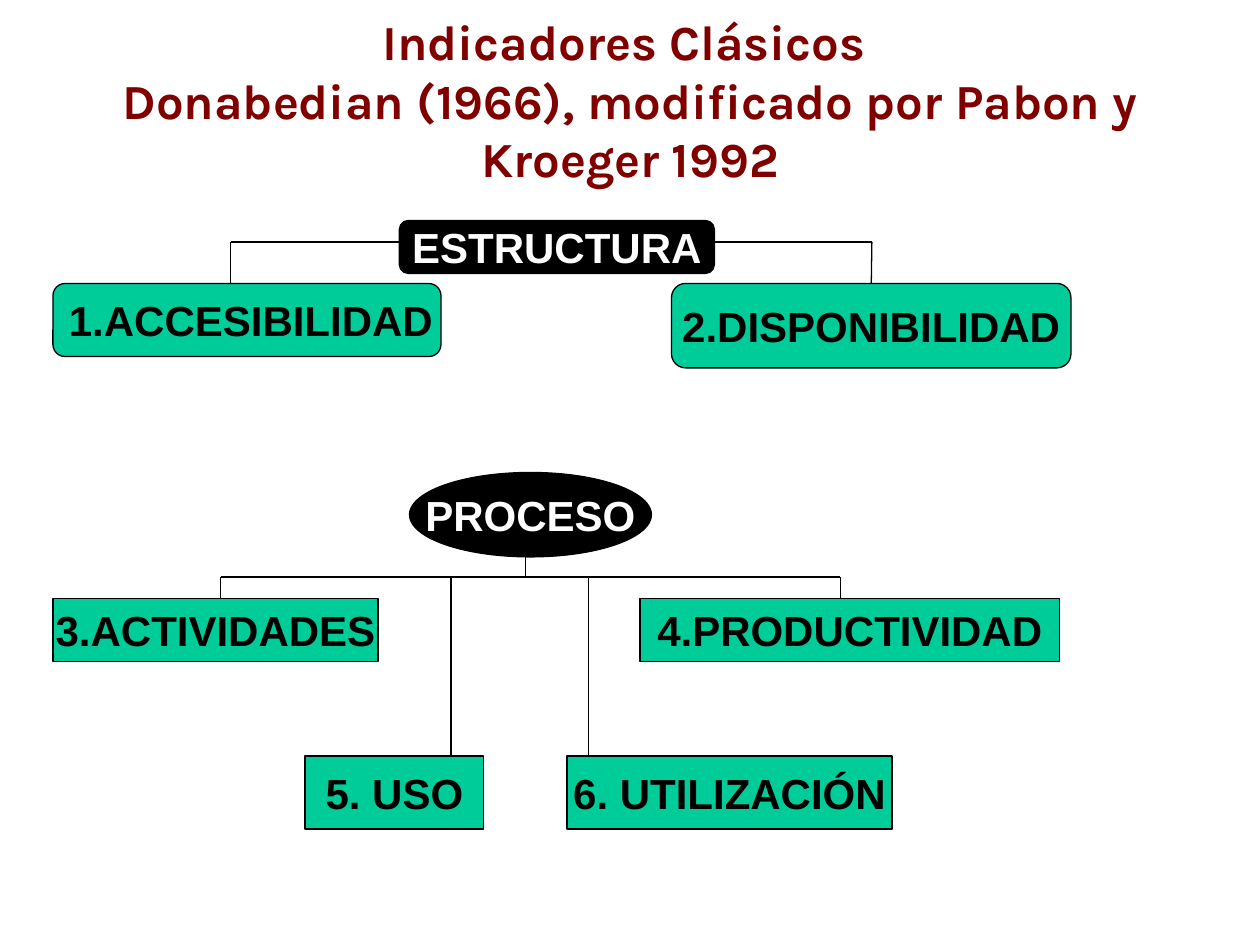
from lxml import etree
from pptx import Presentation
from pptx import util as u
from pptx.dml.color import RGBColor
from pptx.enum import shapes, text
from pptx.oxml.ns import qn

COLORS = {"title": "800000", "black": "000000", "white": "FFFFFF", "green": "00CC99"}
SHAPE = shapes.MSO_SHAPE
TOP_SIDE = 0


def rgb(name):
    return RGBColor.from_string(COLORS[name])


def format_text(frame, font_name, size, color, align):
    frame.vertical_anchor = text.MSO_ANCHOR.MIDDLE
    for paragraph in frame.paragraphs:
        paragraph.alignment = align
        for run in paragraph.runs:
            run.font.name = font_name
            run.font.size = u.Pt(size)
            run.font.bold = True
            run.font.color.rgb = rgb(color)


def add_label(slide, origin, kind, box, wording, fill="green", color="black",
              align=text.PP_ALIGN.CENTER):
    left, top, width, height = box
    label = slide.shapes.add_shape(
        kind, u.Inches(origin[0] + left), u.Inches(origin[1] + top),
        u.Inches(width), u.Inches(height))
    label.shadow.inherit = False
    label.fill.solid()
    label.fill.fore_color.rgb = rgb(fill)
    label.line.color.rgb = rgb("black")
    label.line.width = u.Pt(0.75)
    label.text_frame.text = wording
    label.text_frame.word_wrap = False
    format_text(label.text_frame, "Arial", 24, color, align)
    return label


def add_line(slide, origin, start, end):
    x, y = origin
    line = slide.shapes.add_connector(
        shapes.MSO_CONNECTOR.STRAIGHT,
        u.Inches(x + start[0]), u.Inches(y + start[1]),
        u.Inches(x + end[0]), u.Inches(y + end[1]))
    line.line.color.rgb = rgb("black")
    line.line.width = u.Pt(0.75)
    etree.SubElement(line._element.spPr, qn("a:effectLst"))
    return line


def place_title(slide, left, top, width, height):
    title = slide.shapes.title
    title.left, title.top = u.Inches(left), u.Inches(top)
    title.width, title.height = u.Inches(width), u.Inches(height)
    title.text_frame.text = (
        "Indicadores Clásicos \vDonabedian (1966), modificado por Pabon y Kroeger 1992")
    title.text_frame.word_wrap = True
    format_text(title.text_frame, "Karla", 28, "title", text.PP_ALIGN.CENTER)


def place_structure(slide, left, top):
    origin = (left, top)
    branch_y, child_y = 0.17, 0.5
    access_x, availability_x = 1.41, 6.5
    add_label(slide, origin, SHAPE.ROUNDED_RECTANGLE, (2.75, 0, 2.5, 0.42),
              "ESTRUCTURA", "black", "white")
    availability = add_label(slide, origin, SHAPE.ROUNDED_RECTANGLE,
                             (4.91, child_y, 3.17, 0.67), "2.DISPONIBILIDAD")
    add_label(slide, origin, SHAPE.ROUNDED_RECTANGLE, (0, child_y, 3.08, 0.58),
              "1.ACCESIBILIDAD", align=text.PP_ALIGN.LEFT)
    for root_x, child_x in ((5.25, availability_x), (2.75, access_x)):
        add_line(slide, origin, (root_x, branch_y), (child_x, branch_y))
        drop = add_line(slide, origin, (child_x, branch_y), (child_x, child_y))
        if child_x == availability_x:
            drop.end_connect(availability, TOP_SIDE)


def place_process(slide, left, top):
    origin = (left, top)
    branch_y, upper_y, lower_y = 0.83, 1, 2.25
    first_x, last_x, stem_x = 1.33, 6.25, 3.75
    add_label(slide, origin, SHAPE.OVAL, (2.83, 0, 1.92, 0.67),
              "PROCESO", "black", "white")
    for box, wording in (
        ((0, upper_y, 2.58, 0.5), "3.ACTIVIDADES"),
        ((4.66, upper_y, 3.33, 0.5), "4.PRODUCTIVIDAD"),
        ((2, lower_y, 1.42, 0.58), "5. USO"),
        ((4.08, lower_y, 2.58, 0.58), "6. UTILIZACIÓN"),
    ):
        add_label(slide, origin, SHAPE.RECTANGLE, box, wording)
    for x, child_y in ((last_x, upper_y), (first_x, upper_y),
                       (3.16, lower_y), (4.25, lower_y)):
        add_line(slide, origin, (x, branch_y), (x, child_y))
    add_line(slide, origin, (first_x, branch_y), (last_x, branch_y))
    add_line(slide, origin, (stem_x, 0.67), (stem_x, branch_y))


def main():
    presentation = Presentation()
    presentation.slide_width = u.Inches(10)
    presentation.slide_height = u.Inches(7.5)
    slide = presentation.slides.add_slide(presentation.slide_layouts[5])
    place_title(slide, 0.75, 0.08, 8.5, 1.42)
    place_structure(slide, 0.42, 1.75)
    place_process(slide, 0.42, 3.75)
    presentation.save("out.pptx")


if __name__ == "__main__":
    main()
